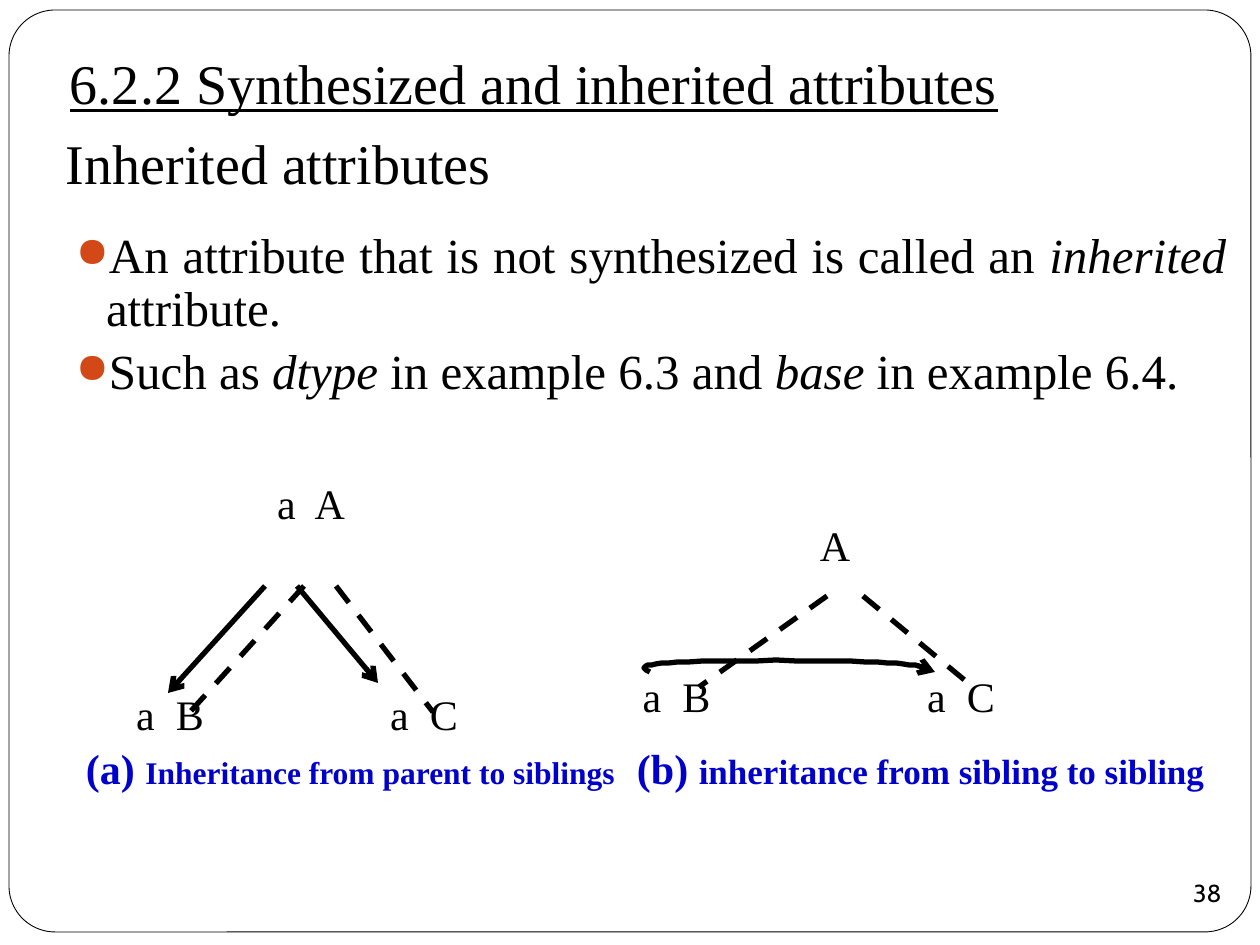
from dataclasses import dataclass

from lxml.etree import SubElement as Sub
from pptx import Presentation
from pptx.dml.color import RGBColor as Rgb
from pptx.enum.dml import MSO_LINE as Dash
from pptx.enum.shapes import MSO_CONNECTOR as Link, MSO_SHAPE as Kind
from pptx.enum.text import MSO_ANCHOR as Anchor, MSO_AUTO_SIZE as Fit, PP_ALIGN as Align
from pptx.oxml.ns import qn
from pptx.util import Pt

SCALE = 914400 / 126


@dataclass(frozen=True)
class Theme:
    ink: str = "000000"
    paper: str = "FFFFFF"
    blue: str = "0000CC"
    rust: str = "D34817"
    face: str = "Times New Roman"
    round_face: str = "Cabin"
    head: int = 32
    body: int = 28
    node: int = 24
    note_a: int = 18
    note_b: int = 20
    page: int = 14
    stroke: int = 3


THEME = Theme()


def px(n):
    return round(n * SCALE)


def place(shape, box):
    shape.left, shape.top, shape.width, shape.height = map(px, box)


def text(shape, paras, size, face=THEME.face, color=THEME.ink, align=Align.LEFT,
         anchor=Anchor.TOP, inset=(13, 6, 13, 6), wrap=True, bold=False,
         under=False, lead=None, gap=0, bullet=False):
    """Write paragraphs, each a list of (words, format) runs."""
    frame = shape.text_frame
    frame.auto_size = Fit.NONE
    frame.word_wrap, frame.vertical_anchor = wrap, anchor
    (frame.margin_left, frame.margin_top,
     frame.margin_right, frame.margin_bottom) = map(px, inset)
    for i, runs in enumerate(paras):
        para = frame.add_paragraph() if i else frame.paragraphs[0]
        if bullet:
            mark(para)
        para.alignment = align
        if lead:
            para.line_spacing = lead
        if i and gap:
            para.space_before = Pt(gap)
        for words, extra in runs:
            run = para.add_run()
            run.text = words
            font = run.font
            font.name, font.size = face, Pt(extra.get("size", size))
            font.bold, font.italic = bold, extra.get("italic", False)
            font.underline = under
            font.color.rgb = Rgb.from_string(color)


def mark(para):
    props = para._p.get_or_add_pPr()
    props.set("marL", str(px(30)))
    props.set("indent", str(-px(30)))
    tint = Sub(props, qn("a:buClr"))
    Sub(tint, qn("a:srgbClr"), val=THEME.rust)
    Sub(props, qn("a:buSzPct"), val="85000")
    Sub(props, qn("a:buChar"), char="●")


def label(shapes, box, paras, size, **style):
    item = shapes.add_textbox(*map(px, box))
    text(item, paras, size, **style)


def pen(line, tip=False, dash=False):
    line.color.rgb = Rgb.from_string(THEME.ink)
    line.width = Pt(THEME.stroke)
    if dash:
        line.dash_style = Dash.DASH
    if tip:
        Sub(line._get_or_add_ln(), qn("a:tailEnd"), type="arrow")


def edge(shapes, x, y, ends, **style):
    x1, y1, x2, y2 = ends
    item = shapes.add_connector(Link.STRAIGHT, px(x + x1), px(y + y1),
                                px(x + x2), px(y + y2))
    pen(item.line, **style)
    Sub(item._element.spPr, qn("a:effectLst"))


def trace(start, parts, steps=12):
    """Return points along a chain of cubic curves."""
    spots = [start]
    for b, c, d in parts:
        a = spots[-1]
        for i in range(1, steps + 1):
            t = i / steps
            u = 1 - t
            spots.append(tuple(
                u**3 * p + 3 * u * u * t * q + 3 * u * t * t * r + t**3 * s
                for p, q, r, s in zip(a, b, c, d)))
    return spots


def bend(shapes, x, y, start, parts):
    spots = [(x + p, y + q) for p, q in trace(start, parts)]
    path = shapes.build_freeform(*spots[0], scale=SCALE)
    path.add_line_segments(spots[1:], close=False)
    item = path.convert_to_shape()
    item.shadow.inherit = False
    item.fill.background()
    pen(item.line, tip=True)


def tree(slide, box, nodes, dashes, arrows=(), curve=None):
    x, y, _, high = box
    shapes = slide.shapes.add_group_shape().shapes
    for words, left, top, wide in nodes:
        label(shapes, (x + left, y + top, wide, high), [[(words, {})]],
              THEME.node, align=Align.CENTER)
    for ends in arrows:
        edge(shapes, x, y, ends, tip=True)
    for ends in dashes:
        edge(shapes, x, y, ends, dash=True)
    if curve:
        bend(shapes, x, y, *curve)


def caption(slide, box, tag, words, size):
    label(slide.shapes, box, [[(tag + " ", {}), (words, {"size": size})]],
          THEME.node, color=THEME.blue, bold=True, inset=(0, 0, 0, 0), wrap=False)


def border(slide, box):
    item = slide.shapes.add_shape(Kind.ROUNDED_RECTANGLE, *map(px, box))
    item.adjustments[0] = 0.05
    item.shadow.inherit = False
    item.fill.solid()
    item.fill.fore_color.rgb = Rgb.from_string(THEME.paper)
    item.line.color.rgb = Rgb.from_string(THEME.ink)
    item.line.width = Pt(0.5)
    slide.shapes.title.element.addprevious(item.element)


def heads(slide):
    label(slide.shapes, (57, 42, 953, 81),
          [[("6.2.2 Synthesized and inherited attributes", {})]],
          THEME.head, under=True, wrap=False)
    title = slide.shapes.title
    place(title, (53, 136, 1071, 73))
    text(title, [[("Inherited attributes", {})]], THEME.head,
         anchor=Anchor.BOTTOM, inset=(13, 6, 13, 13))


def points(slide, box):
    slant = {"italic": True}
    label(slide.shapes, box, [
        [("An attribute that is not synthesized is called an ", {}),
         ("inherited", slant), (" attribute.", {})],
        [("Such as ", {}), ("dtype", slant), (" in example 6.3 and ", {}),
         ("base", slant), (" in example 6.4.", {})],
    ], THEME.body, align=Align.JUSTIFY, lead=0.9, gap=5.8, bullet=True)


def number(slide, box):
    item = slide.shapes.add_shape(Kind.OVAL, *map(px, box))
    item.shadow.inherit = False
    item.fill.background()
    item.line.fill.background()
    text(item, [[("38", {})]], THEME.page, face=THEME.round_face,
         align=Align.CENTER, anchor=Anchor.MIDDLE, inset=(0, 0, 0, 0), wrap=False)


def main():
    deck = Presentation()
    deck.slide_width, deck.slide_height = px(1260), px(945)
    slide = deck.slides.add_slide(deck.slide_layouts[5])
    border(slide, (9, 10, 1242, 922))
    heads(slide)
    points(slide, (63, 225, 1176, 190))
    tree(slide, (73, 472, 411, 126),
         [("a  A", 141, 0, 194), ("a  B", 0, 211, 194), ("a  C", 286, 211, 130)],
         [(231, 114, 117, 240), (263, 114, 360, 240)],
         arrows=[(192, 114, 95, 221), (224, 114, 305, 211)])
    tree(slide, (567, 514, 462, 91),
         [("A", 159, 0, 218), ("a  B", 0, 151, 219), ("a  C", 321, 151, 146)],
         [(260, 82, 132, 173), (296, 82, 406, 173)],
         curve=((83, 158), [((73, 154), (73, 150), (111, 148)),
                            ((150, 146), (268, 146), (310, 148)),
                            ((353, 150), (360, 154), (368, 158))]))
    caption(slide, (86, 743, 530, 50), "(a)",
            "Inheritance from parent to siblings", THEME.note_a)
    caption(slide, (637, 743, 567, 50), "(b)",
            "inheritance from sibling to sibling", THEME.note_b)
    number(slide, (1176, 861, 63, 63))
    deck.save("out.pptx")


if __name__ == "__main__":
    main()
